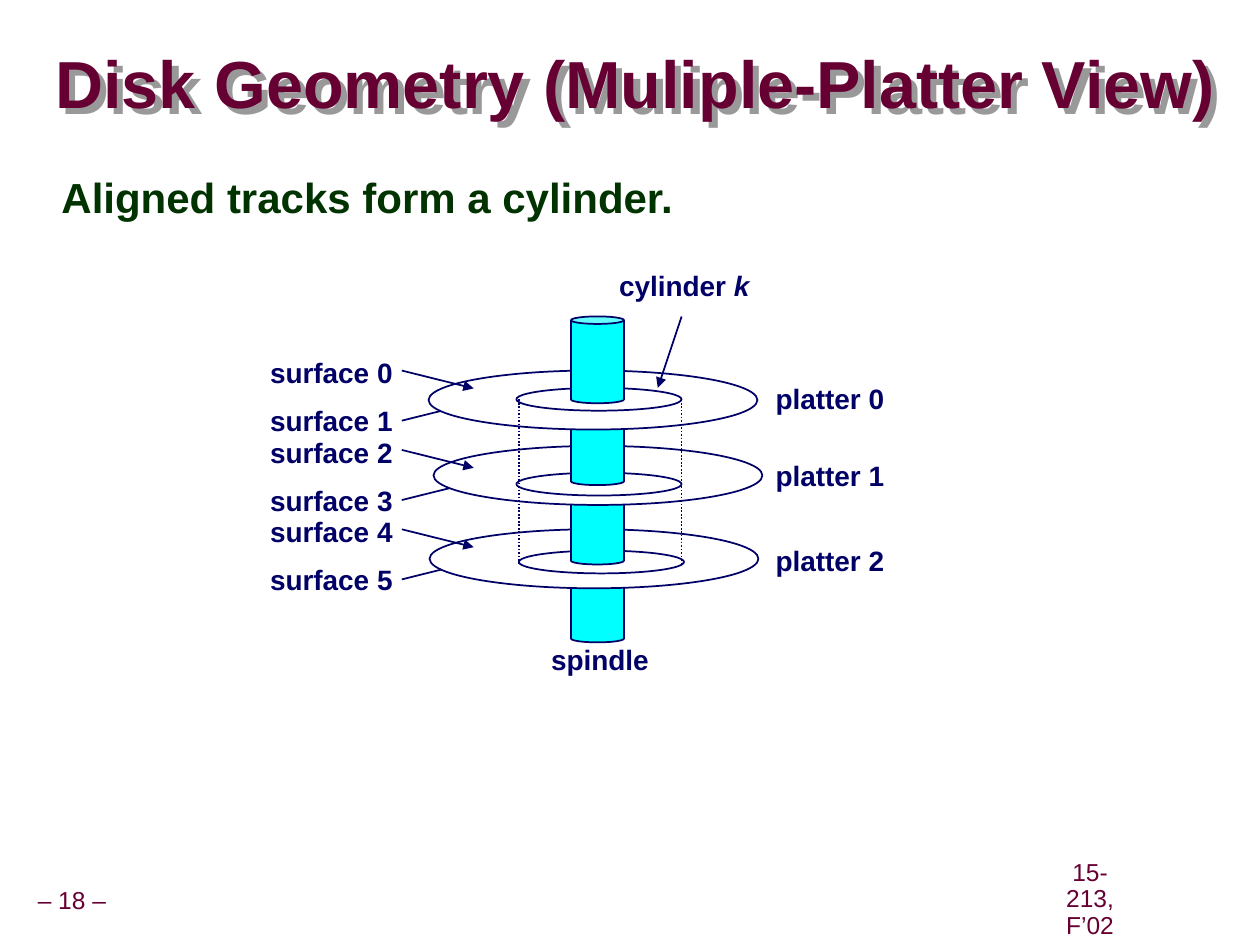
from dataclasses import dataclass

import pptx
import pptx.dml.color
import pptx.enum.dml
import pptx.enum.shapes
import pptx.enum.text
import pptx.oxml
import pptx.oxml.ns
import pptx.util
from pptx.util import Cm

SHAPE = pptx.enum.shapes.MSO_SHAPE
ALIGN = pptx.enum.text.PP_ALIGN
ANCHOR = pptx.enum.text.MSO_ANCHOR


@dataclass(frozen=True)
class Theme:
    """Colours, font and type sizes of the slide."""
    font: str = "Arial"
    maroon: str = "660033"
    green: str = "003300"
    navy: str = "000066"
    cyan: str = "00FFFF"
    white: str = "FFFFFF"
    shadow: str = "999999"
    title_size: int = 38
    body_size: int = 24
    label_size: int = 16
    footer_size: int = 14
    line_width: int = 1


THEME = Theme()


def rgb(colour):
    """Turn a hex string into a colour."""
    return pptx.dml.color.RGBColor.from_string(colour)


def add_text(slide, box, runs, size, colour, bold=True, align=ALIGN.CENTER,
             anchor=ANCHOR.MIDDLE, wrap=False, insets=(0.25, 0.13, 0.25, 0.13),
             spacing=1.0):
    """Add a text box from (wording, italic) runs."""
    text_box = slide.shapes.add_textbox(*map(Cm, box))
    frame = text_box.text_frame
    frame.word_wrap = wrap
    frame.vertical_anchor = anchor
    (frame.margin_left, frame.margin_top,
     frame.margin_right, frame.margin_bottom) = map(Cm, insets)
    paragraph = frame.paragraphs[0]
    paragraph.alignment = align
    paragraph.line_spacing = spacing
    for wording, italic in runs:
        run = paragraph.add_run()
        run.text = wording
        run.font.name = THEME.font
        run.font.size = pptx.util.Pt(size)
        run.font.bold = bold
        run.font.italic = italic
        run.font.color.rgb = rgb(colour)
    return text_box


def add_label(slide, left, top, width, *runs):
    """Add a diagram label."""
    add_text(slide, (left, top, width, 0.94), runs, THEME.label_size, THEME.navy)


def add_title_shadow(title):
    """Give the title its grey offset shadow."""
    title._element.spPr.append(pptx.oxml.parse_xml(
        f'<a:effectLst {pptx.oxml.ns.nsdecls("a")}>'
        '<a:outerShdw dist="63500" dir="2700000" algn="ctr" rotWithShape="0">'
        f'<a:srgbClr val="{THEME.shadow}"/></a:outerShdw></a:effectLst>'))


def add_solid(slide, kind, box, fill=None):
    """Add an outlined ellipse or can."""
    solid = slide.shapes.add_shape(kind, *map(Cm, box))
    solid.shadow.inherit = False
    solid.line.color.rgb = rgb(THEME.navy)
    solid.line.width = pptx.util.Pt(THEME.line_width)
    if fill:
        solid.fill.solid()
        solid.fill.fore_color.rgb = rgb(fill)
    else:
        solid.fill.background()
    return solid


def add_line(slide, start, end, arrow=True):
    """Add a pointer with an arrowhead, or a dotted edge."""
    line = slide.shapes.add_connector(
        pptx.enum.shapes.MSO_CONNECTOR.STRAIGHT, *map(Cm, (*start, *end)))
    line.line.color.rgb = rgb(THEME.navy)
    line.line.width = pptx.util.Pt(THEME.line_width)
    namespace = pptx.oxml.ns.nsdecls("a")
    if arrow:
        line.line._get_or_add_ln().append(
            pptx.oxml.parse_xml(f'<a:tailEnd {namespace} type="triangle"/>'))
    else:
        line.line.dash_style = pptx.enum.dml.MSO_LINE.ROUND_DOT
    line._element.spPr.append(pptx.oxml.parse_xml(f"<a:effectLst {namespace}/>"))


def add_spindle_section(slide, top):
    """Add one visible section of the spindle."""
    section = add_solid(slide, SHAPE.CAN, (11.51, top, 1.07, 1.75), THEME.cyan)
    section.adjustments[0] = 0.142


def add_disk_stack(slide):
    """Stack the platters, tracks and spindle from the bottom up."""
    platters = [
        ((8.66, 10.67), (10.46, 11.1), 9.63),
        ((8.74, 8.99), (10.41, 9.53), 8.03),
        ((8.64, 7.47), (10.41, 7.82), 6.38),
    ]
    add_spindle_section(slide, 11.2)
    for platter, track, spindle_top in platters:
        add_solid(slide, SHAPE.OVAL, (*platter, 6.63, 1.19), THEME.white)
        add_solid(slide, SHAPE.OVAL, (*track, 3.33, 0.46))
        add_spindle_section(slide, spindle_top)


def add_surface_pointers(slide, first_top, rise):
    """Point at one side of each platter."""
    for platter in range(3):
        top = first_top + 1.6 * platter
        add_line(slide, (8.1, top), (9.55, top + rise))


def add_labels(slide):
    """Name the surfaces, platters, cylinder and spindle."""
    for surface in range(6):
        platter, underside = divmod(surface, 2)
        add_label(slide, 5.18, 7.04 + 1.6 * platter + 0.97 * underside, 3,
                  (f"surface {surface}", False))
    for platter, top in enumerate((7.57, 9.12, 10.82)):
        add_label(slide, 15.37, top, 2.72, (f"platter {platter}", False))
    add_label(slide, 12.22, 5.28, 3.15, ("cylinder ", False), ("k", True))
    add_label(slide, 10.85, 12.83, 2.49, ("spindle", False))


def add_footer(slide, box, wording, wrap, right_inset):
    """Add a footer entry."""
    add_text(slide, box, [(wording, False)], THEME.footer_size, THEME.maroon,
             bold=False, wrap=wrap, insets=(0.13, 0.13, right_inset, 0.13),
             spacing=0.9)


def main():
    """Build the disk geometry slide."""
    deck = pptx.Presentation()
    deck.slide_width, deck.slide_height = Cm(25.4), Cm(19.05)
    slide = deck.slides.add_slide(deck.slide_layouts[6])

    add_footer(slide, (0.61, 17.78, 1.68, 0.79), "– 18 –", False, 0.13)
    add_footer(slide, (21.01, 17.75, 3.02, 0.79), "15-213, F’02", True, 1.22)
    title = add_text(slide, (1.12, 0.69, 24.21, 2.16),
                     [("Disk Geometry (Muliple-Platter View)", False)],
                     THEME.title_size, THEME.maroon, align=ALIGN.LEFT,
                     wrap=True, insets=(0, 0, 0, 0), spacing=0.87)
    add_title_shadow(title)
    add_text(slide, (0.81, 3.4, 23.09, 14.5),
             [("Aligned tracks form a cylinder.", False)],
             THEME.body_size, THEME.green, align=ALIGN.LEFT, anchor=ANCHOR.TOP,
             wrap=True, insets=(0.43, 0.13, 0.25, 0.13), spacing=0.95)

    add_surface_pointers(slide, 8.48, -0.36)
    add_disk_stack(slide)
    add_surface_pointers(slide, 7.47, 0.36)
    for edge in (10.46, 13.74):
        add_line(slide, (edge, 8.05), (edge, 11.37), arrow=False)
    add_line(slide, (13.74, 6.38), (13.26, 7.82))
    add_labels(slide)
    deck.save("out.pptx")


if __name__ == "__main__":
    main()
